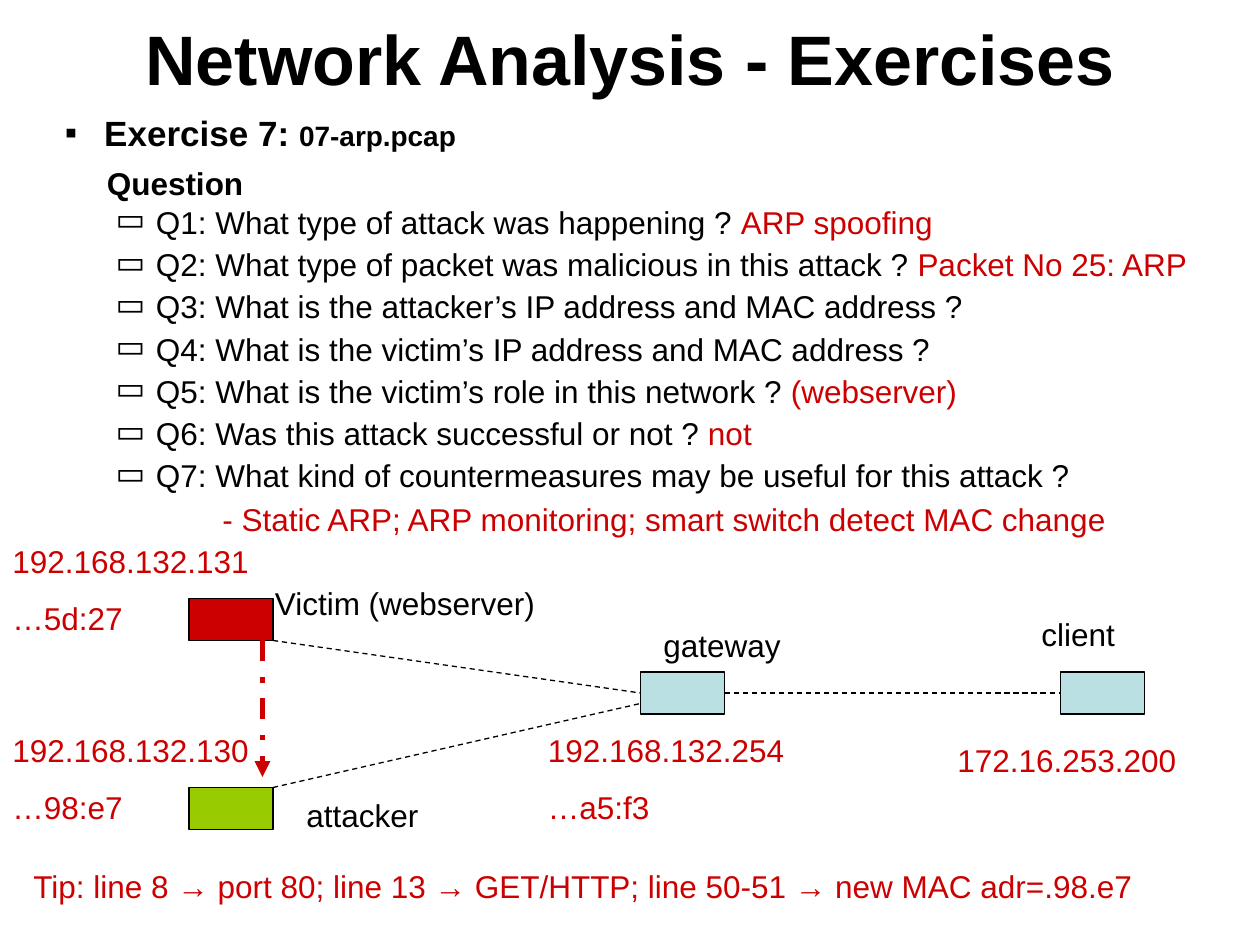
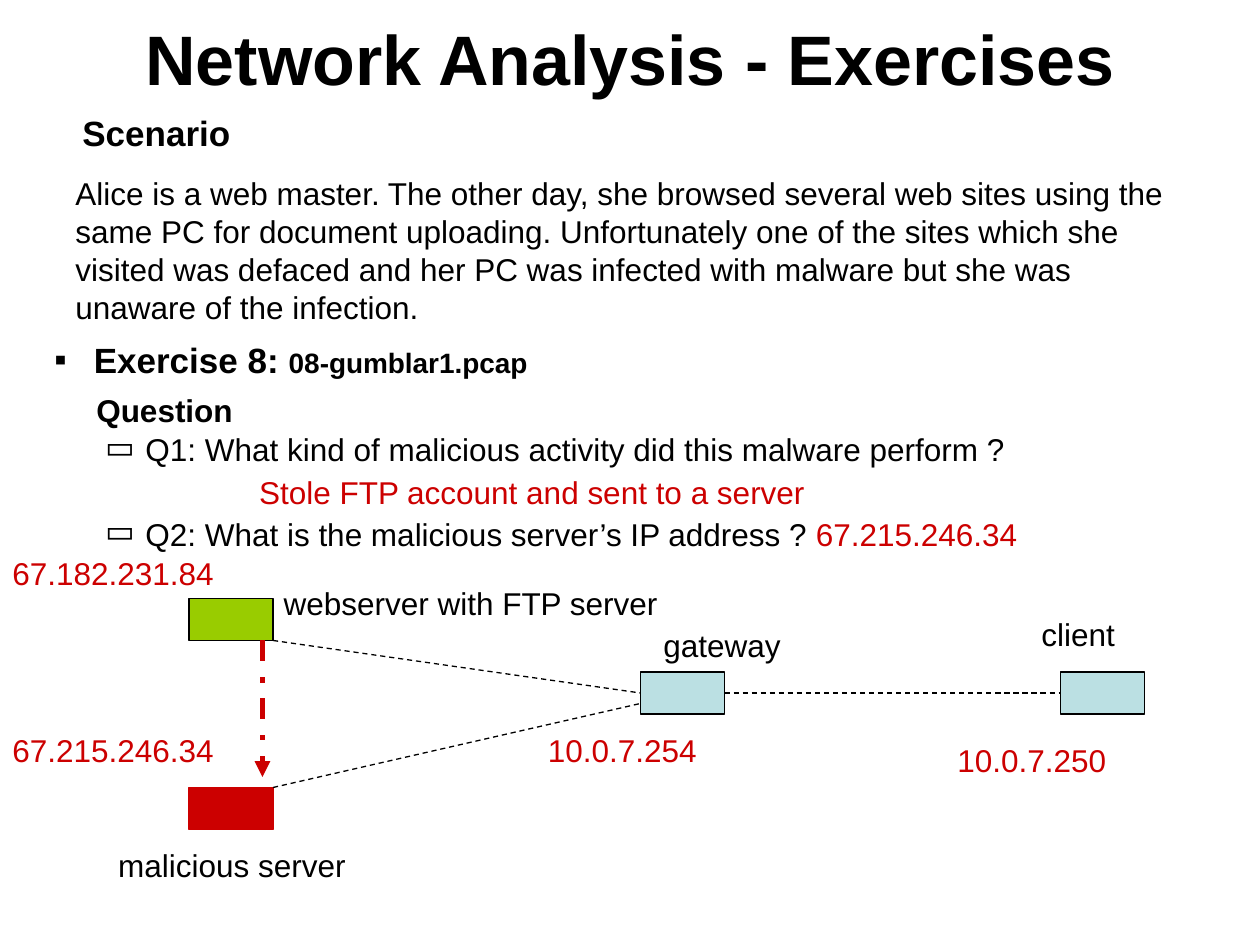
from lxml import etree
from pptx import Presentation
from pptx.dml.color import RGBColor
from pptx.enum.dml import MSO_LINE
from pptx.enum.shapes import MSO_CONNECTOR, MSO_SHAPE
from pptx.enum.text import MSO_ANCHOR, PP_ALIGN
from pptx.oxml.ns import qn
from pptx.util import Pt

STRAIGHT = MSO_CONNECTOR.STRAIGHT
RECTANGLE = MSO_SHAPE.RECTANGLE
DASH, DASH_DOT = MSO_LINE.DASH, MSO_LINE.DASH_DOT
MIDDLE, CENTER = MSO_ANCHOR.MIDDLE, PP_ALIGN.CENTER

FONT = "Arial"
BLACK, RED, GREEN, PALE = "000000", "CC0000", "99CC00", "BBE0E3"
BODY_SIZE, PARA_GAP = 18, 11.2
NODE_WIDTH, NODE_HEIGHT = 48, 24
TITLE = "Network Analysis - Exercises"

NODES = {"top": (108, 342), "bottom": (108, 450), "gateway": (366, 384), "client": (606, 384)}
LINKS = [
    ((156, 366), (366, 396)),
    ((414, 396), (606, 396)),
    ((156, 450), (366, 402)),
]
ATTACK = ((150, 366), (150, 444))
SHARED_LABELS = [("gateway", 372, 354, 90), ("client", 588, 348, 90)]

SLIDES = [
    {
        "exercise": ("Exercise 7: ", "07-arp.pcap"),
        "origin": (30, 60),
        "questions": [
            ("Q1: What type of attack was happening ? ", "ARP spoofing"),
            ("Q2: What type of packet was malicious in this attack ? ", "Packet No 25: ARP"),
            ("Q3: What is the attacker’s IP address and MAC address ?", ""),
            ("Q4: What is the victim’s IP address and MAC address ?", ""),
            ("Q5: What is the victim’s role in this network ? ", "(webserver)"),
            ("Q6: Was this attack successful or not ? ", "not"),
            ("Q7: What kind of countermeasures may be useful for this attack ?", ""),
        ],
        "node_colors": {"top": (RED, BLACK), "bottom": (GREEN, BLACK)},
        "labels": [("Victim (webserver)", 150, 330, 180), ("attacker", 168, 451.5, 90)],
        "notes": [
            (["192.168.132.131", "…5d:27"], 0, 306, 150),
            (["192.168.132.130", "…98:e7"], 0, 414, 150),
            (["192.168.132.254", "…a5:f3"], 306, 414, 150),
            (["172.16.253.200"], 540, 420, 150),
            (["Tip: line 8 → port 80; line 13 → GET/HTTP; line 50-51 → new MAC adr=.98.e7"],
             12, 492, 708),
            (["- Static ARP; ARP monitoring; smart switch detect MAC change"], 120, 282, 552),
        ],
    },
    {
        "scenario": (
            "Scenario",
            "Alice is a web master. The other day, she browsed several web sites using the "
            "same PC for document uploading. Unfortunately one of the sites which she "
            "visited was defaced and her PC was infected with malware but she was "
            "unaware of the infection.",
        ),
        "exercise": ("Exercise 8: ", "08-gumblar1.pcap"),
        "origin": (24, 190),
        "questions": [
            ("Q1: What kind of malicious activity did this malware perform ?", ""),
            ("", "Stole FTP account and sent to a server"),
            ("Q2: What is the malicious server’s IP address ? ", "67.215.246.34"),
        ],
        "node_colors": {"top": (GREEN, BLACK), "bottom": (RED, RED)},
        "labels": [("webserver with FTP server", 155, 330, 259), ("malicious server", 60.5, 480, 150)],
        "notes": [
            (["67.182.231.84"], 0, 313, 150),
            (["67.215.246.34"], 0, 414, 150),
            (["10.0.7.254"], 306, 414, 150),
            (["10.0.7.250"], 540, 420, 150),
        ],
    },
]


def color(value):
    return RGBColor.from_string(value)


def set_indent(para, left, first=0, bullet=None):
    properties = para._p.get_or_add_pPr()
    properties.set("marL", str(Pt(left)))
    properties.set("indent", str(Pt(first)))
    if bullet:
        bullet_color = etree.SubElement(properties, qn("a:buClr"))
        etree.SubElement(bullet_color, qn("a:srgbClr"), val=BLACK)
        etree.SubElement(properties, qn("a:buFont"), typeface=FONT)
        etree.SubElement(properties, qn("a:buChar"), char=bullet)


def add_span(para, text, fill=BLACK, size=BODY_SIZE, bold=False):
    span = para.add_run()
    span.text = text
    span.font.name = FONT
    span.font.size = Pt(size)
    span.font.bold = bold
    span.font.color.rgb = color(fill)


def add_box(page, left, top, width, height):
    box = page.shapes.add_textbox(Pt(left), Pt(top), Pt(width), Pt(height))
    box.text_frame.word_wrap = True
    return box.text_frame


def next_para(frame, index):
    if index == 0:
        return frame.paragraphs[0]
    para = frame.add_paragraph()
    para.space_before = Pt(PARA_GAP)
    return para


def add_text(page, lines, left, top, width, fill=BLACK, size=BODY_SIZE, bold=False):
    frame = add_box(page, left, top, width, 29 + 32 * (len(lines) - 1))
    for index, line in enumerate(lines):
        add_span(next_para(frame, index), line, fill, size, bold)
    return frame


def add_title(page):
    frame = add_box(page, 54, 6, 612, 54)
    frame.vertical_anchor = MIDDLE
    frame.paragraphs[0].alignment = CENTER
    add_span(frame.paragraphs[0], TITLE, size=40, bold=True)


def add_scenario(page, heading, story):
    frame = add_text(page, [heading], 18, 60, 654, size=20, bold=True)
    set_indent(frame.paragraphs[0], 22)
    add_text(page, [story], 36, 96, 654)


def add_exercise(page, name, capture, origin, questions):
    left, top = origin
    heading = add_box(page, left, top, 654, 32).paragraphs[0]
    set_indent(heading, 22.5, -22.5, "▪")
    add_span(heading, name, size=20, bold=True)
    add_span(heading, capture, size=16, bold=True)
    add_text(page, ["Question"], left + 24, top + 30, 654, bold=True)

    frame = add_box(page, left + 6, top + 60, 672, 24 * len(questions) - 2)
    for index, (question, answer) in enumerate(questions):
        para = next_para(frame, index)
        if question:
            set_indent(para, 46, -23, "▭")
            add_span(para, question)
        else:
            set_indent(para, 111)
        if answer:
            add_span(para, answer, RED)
        para.line_spacing = 0.6


def add_link(page, start, end, stroke, weight, dash):
    link = page.shapes.add_connector(STRAIGHT, *(Pt(value) for value in start + end))
    link.line.color.rgb = color(stroke)
    link.line.width = Pt(weight)
    link.line.dash_style = dash
    etree.SubElement(link._element.spPr, qn("a:effectLst"))
    return link


def add_network(page, node_colors):
    for name, (left, top) in NODES.items():
        fill, stroke = node_colors.get(name, (PALE, BLACK))
        node = page.shapes.add_shape(RECTANGLE, Pt(left), Pt(top), Pt(NODE_WIDTH), Pt(NODE_HEIGHT))
        node.shadow.inherit = False
        node.fill.solid()
        node.fill.fore_color.rgb = color(fill)
        node.line.color.rgb = color(stroke)
        node.line.width = Pt(0.75)
    for start, end in LINKS:
        add_link(page, start, end, BLACK, 0.75, DASH)
    attack = add_link(page, *ATTACK, RED, 3, DASH_DOT)
    etree.SubElement(attack.line._get_or_add_ln(), qn("a:tailEnd"), type="triangle")


def main():
    deck = Presentation()
    deck.slide_width, deck.slide_height = Pt(720), Pt(540)
    for content in SLIDES:
        page = deck.slides.add_slide(deck.slide_layouts[6])
        add_title(page)
        if "scenario" in content:
            add_scenario(page, *content["scenario"])
        add_exercise(page, *content["exercise"], content["origin"], content["questions"])
        add_network(page, content["node_colors"])
        for label, left, top, width in content["labels"] + SHARED_LABELS:
            add_text(page, [label], left, top, width)
        for lines, left, top, width in content["notes"]:
            add_text(page, lines, left, top, width, RED)
    deck.save("out.pptx")


if __name__ == "__main__":
    main()
